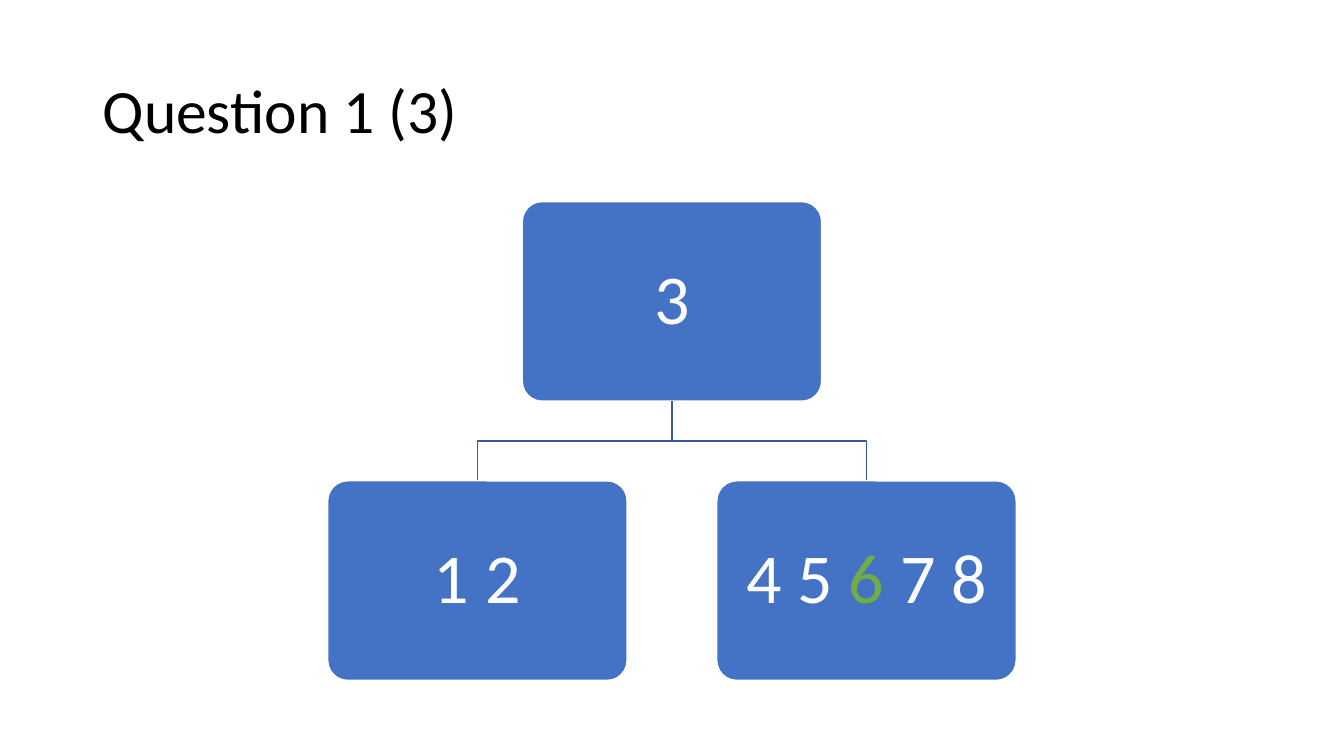
"""Build the slide "Question 1 (3)": a tree with one root and two leaves."""
from pptx import Presentation
from pptx.dml.color import RGBColor
from pptx.enum.shapes import MSO_SHAPE
from pptx.enum.text import MSO_ANCHOR, PP_ALIGN
from pptx.util import Inches, Pt

ROUNDED = MSO_SHAPE.ROUNDED_RECTANGLE
MIDDLE = MSO_ANCHOR.MIDDLE
LEFT, CENTER = PP_ALIGN.LEFT, PP_ALIGN.CENTER
BLACK = RGBColor(0x00, 0x00, 0x00)
WHITE = RGBColor(0xFF, 0xFF, 0xFF)
BLUE = RGBColor(0x44, 0x72, 0xC4)
DARK_BLUE = RGBColor(0x36, 0x5B, 0x9D)
GREEN = RGBColor(0x70, 0xAD, 0x47)

PAGE_WIDTH, PAGE_HEIGHT = Inches(13.333), Inches(7.5)
NODE_WIDTH, NODE_HEIGHT = Inches(2.97), Inches(1.98)
ROOT_TOP, ROW_GAP = Inches(2), Inches(0.79)
COLUMN_STEP = Inches(1.93)
MIDDLE_X = PAGE_WIDTH // 2
ROOT_BOTTOM = ROOT_TOP + NODE_HEIGHT
LEAF_TOP = ROOT_BOTTOM + ROW_GAP


def write(box, spans, size, align, inset_x, inset_y):
    """Fill a box with one paragraph of coloured runs."""
    frame = box.text_frame
    frame.word_wrap = True
    frame.vertical_anchor = MIDDLE
    frame.margin_left = frame.margin_right = Inches(inset_x)
    frame.margin_top = frame.margin_bottom = Inches(inset_y)
    para = frame.paragraphs[0]
    para.alignment = align
    para.line_spacing = 0.9
    for text, color in spans:
        span = para.add_run()
        span.text = text
        span.font.name = "Calibri"
        span.font.size = Pt(size)
        span.font.color.rgb = color


deck = Presentation()
deck.slide_width, deck.slide_height = PAGE_WIDTH, PAGE_HEIGHT
page = deck.slides.add_slide(deck.slide_layouts[6])

title = page.shapes.add_textbox(Inches(0.92), Inches(0.4), Inches(11.5), Inches(1.45))
write(title, [("Question 1 (3)", BLACK)], 44, LEFT, 0.1, 0.05)

nodes = [
    (0, ROOT_TOP, [("3", WHITE)]),
    (-1, LEAF_TOP, [("1 2", WHITE)]),
    (1, LEAF_TOP, [("4 5 ", WHITE), ("6", GREEN), (" 7 8", WHITE)]),
]
for column, top, spans in nodes:
    center_x = MIDDLE_X + column * COLUMN_STEP
    if column:
        bend_y = ROOT_BOTTOM + ROW_GAP // 2
        outline = page.shapes.build_freeform(MIDDLE_X, ROOT_BOTTOM)
        outline.add_line_segments(
            [(MIDDLE_X, bend_y), (center_x, bend_y), (center_x, LEAF_TOP)], close=False)
        branch = outline.convert_to_shape()
        branch.shadow.inherit = False
        branch.fill.background()
        branch.line.color.rgb = DARK_BLUE
        branch.line.width = Pt(1)
    node = page.shapes.add_shape(
        ROUNDED, center_x - NODE_WIDTH // 2, top, NODE_WIDTH, NODE_HEIGHT)
    node.adjustments[0] = 0.1
    node.shadow.inherit = False
    node.fill.solid()
    node.fill.fore_color.rgb = BLUE
    node.line.color.rgb = WHITE
    node.line.width = Pt(1)
    write(node, spans, 50, CENTER, 0.21, 0.21)

deck.save("out.pptx")
